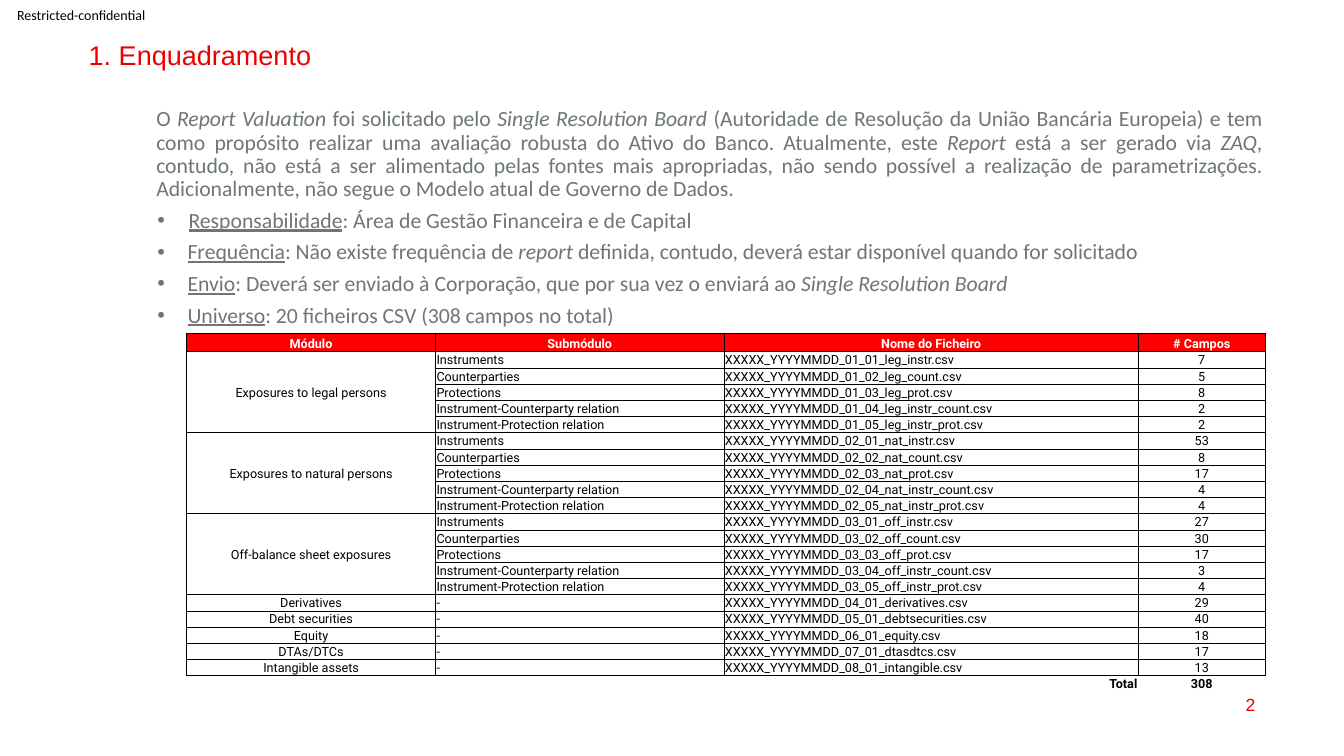
import pptx
import pptx.dml.color
import pptx.enum.text
import pptx.oxml.ns
import pptx.util
from lxml import etree

Inches, Pt = pptx.util.Inches, pptx.util.Pt
Align, Anchor = pptx.enum.text.PP_ALIGN, pptx.enum.text.MSO_ANCHOR
qn = pptx.oxml.ns.qn

RED, GREY, BLACK, WHITE, HEADER_RED = "EB0000", "6E7678", "000000", "FFFFFF", "FF0000"

CLASSIFICATION = "Restricted-confidential"
TITLE = "1. Enquadramento"
PAGE_NUMBER = "2"

# Runs are (text, style): "i" italic, "u" underlined, "" plain
INTRODUCTION = [
    ("O ", ""), ("Report Valuation ", "i"), ("foi solicitado pelo ", ""),
    ("Single Resolution Board ", "i"),
    ("(Autoridade de Resolução da União Bancária Europeia) e tem como propósito realizar "
     "uma avaliação robusta do Ativo do Banco. Atualmente, este ", ""),
    ("Report", "i"), (" está a ser gerado via ", ""), ("ZAQ", "i"),
    (", contudo, não está a ser alimentado pelas fontes mais apropriadas, não sendo possível "
     "a realização de parametrizações. Adicionalmente, não segue o Modelo atual de Governo "
     "de Dados.", ""),
]
BULLETS = [
    [("Responsabilidade", "u"), (": Área de Gestão Financeira e de Capital", "")],
    [("Frequência", "u"), (": Não existe frequência de ", ""), ("report", "i"),
     (" definida, contudo, deverá estar disponível quando for solicitado", "")],
    [("Envio", "u"), (": Deverá ser enviado à Corporação, que por sua vez o enviará ao ", ""),
     ("Single Resolution Board", "i")],
    [("Universo", "u"), (": 20 ficheiros CSV (308 campos no total)", "")],
]

HEADERS = ["Módulo", "Submódulo", "Nome do Ficheiro", "# Campos"]
SUBMODULES = [
    ("Instruments", "instr"),
    ("Counterparties", "count"),
    ("Protections", "prot"),
    ("Instrument-Counterparty relation", "instr_count"),
    ("Instrument-Protection relation", "instr_prot"),
]
# Module, file code, fields per file
MODULES = [
    ("Exposures to legal persons", "leg", [7, 5, 8, 2, 2]),
    ("Exposures to natural persons", "nat", [53, 8, 17, 4, 4]),
    ("Off-balance sheet exposures", "off", [27, 30, 17, 3, 4]),
    ("Derivatives", "derivatives", [29]),
    ("Debt securities", "debtsecurities", [40]),
    ("Equity", "equity", [18]),
    ("DTAs/DTCs", "dtasdtcs", [17]),
    ("Intangible assets", "intangible", [13]),
]
COLUMN_WIDTHS = [2.47, 2.86, 4.11, 1.26]
COLUMN_ALIGNMENTS = [Align.CENTER, Align.LEFT, Align.LEFT, Align.CENTER]
HEADER_HEIGHT, ROW_HEIGHT = 0.18, 0.16


def rgb(color):
    return pptx.dml.color.RGBColor.from_string(color)


def format_font(font, size, name, color, bold=False):
    font.size, font.name, font.bold = Pt(size), name, bold
    font.color.rgb = rgb(color)


def place(shape, left, top, width, height):
    shape.left, shape.top = Inches(left), Inches(top)
    shape.width, shape.height = Inches(width), Inches(height)


def set_bullet(paragraph, left, hanging, symbol=None):
    properties = paragraph._p.get_or_add_pPr()
    properties.set("marL", str(Inches(left)))
    properties.set("indent", str(Inches(-hanging)))
    if symbol:
        etree.SubElement(properties, qn("a:buFont"), typeface="Arial")
        etree.SubElement(properties, qn("a:buChar"), char=symbol)
    else:
        etree.SubElement(properties, qn("a:buNone"))


def set_borders(cell, visible_sides):
    properties = cell._tc.get_or_add_tcPr()
    for position, side in enumerate("LRTB"):
        line = etree.Element(qn(f"a:ln{side}"), w=str(Pt(0.5)))
        if side in visible_sides:
            fill = etree.SubElement(line, qn("a:solidFill"))
            etree.SubElement(fill, qn("a:srgbClr"), val=BLACK)
        else:
            etree.SubElement(line, qn("a:noFill"))
        properties.insert(position, line)


def fill_cell(cell, text, alignment, color=BLACK, bold=False, background=None, borders="LRTB"):
    cell.margin_left = cell.margin_right = cell.margin_top = Inches(0.01)
    cell.margin_bottom = 0
    cell.vertical_anchor = Anchor.MIDDLE if cell.is_merge_origin else Anchor.BOTTOM
    if background:
        cell.fill.solid()
        cell.fill.fore_color.rgb = rgb(background)
    else:
        cell.fill.background()
    set_borders(cell, borders)
    cell.text_frame.text = text
    paragraph = cell.text_frame.paragraphs[0]
    paragraph.alignment = alignment
    for run in paragraph.runs:
        format_font(run.font, 9, "Roboto", color, bold)
    if not text:
        etree.SubElement(paragraph._p, qn("a:endParaRPr"), sz="900")


def add_label(slide, box, text, size, font, color, alignment, wrap):
    label = slide.shapes.add_textbox(*map(Inches, box))
    frame = label.text_frame
    frame.text, frame.word_wrap, frame.vertical_anchor = text, wrap, Anchor.MIDDLE
    paragraph = frame.paragraphs[0]
    paragraph.alignment = alignment
    format_font(paragraph.runs[0].font, size, font, color)
    return frame


def fill_title(title):
    place(title, 0.78, 0.37, 11.76, 0.33)
    frame = title.text_frame
    frame.text, frame.vertical_anchor = TITLE, Anchor.TOP
    frame.auto_size = pptx.enum.text.MSO_AUTO_SIZE.NONE
    paragraph = frame.paragraphs[0]
    paragraph.alignment, paragraph.line_spacing = Align.LEFT, 0.9
    format_font(paragraph.runs[0].font, 19.3, "Arial", RED)


def fill_body(body):
    place(body, 0.97, 1.02, 11.65, 6.34)
    frame = body.text_frame
    frame.auto_size = pptx.enum.text.MSO_AUTO_SIZE.NONE
    for index, runs in enumerate([INTRODUCTION] + BULLETS):
        paragraph = frame.add_paragraph() if index else frame.paragraphs[0]
        paragraph.alignment, paragraph.line_spacing = Align.JUSTIFY, 0.9
        paragraph.space_before, paragraph.space_after = Pt(0), Pt(5.8)
        if index:
            set_bullet(paragraph, 0.8 if index == 1 else 0.79, 0.31 if index == 1 else 0.3, "•")
        else:
            set_bullet(paragraph, 0.48, 0)
        for text, style in runs:
            run = paragraph.add_run()
            run.text = text
            format_font(run.font, 15.5, "Calibri", GREY)
            run.font.italic, run.font.underline = style == "i", style == "u"


def add_files_table(slide):
    file_count = sum(len(counts) for _, _, counts in MODULES)
    height = HEADER_HEIGHT + ROW_HEIGHT * (file_count + 1)
    frame = slide.shapes.add_table(file_count + 2, len(HEADERS), Inches(1.85), Inches(3.31),
                                   Inches(sum(COLUMN_WIDTHS)), Inches(height))
    table = frame.table
    table.first_row = table.horz_banding = False
    for column, width in zip(table.columns, COLUMN_WIDTHS):
        column.width = Inches(width)
    for index, row in enumerate(table.rows):
        row.height = Inches(ROW_HEIGHT if index else HEADER_HEIGHT)

    for column, header in enumerate(HEADERS):
        fill_cell(table.cell(0, column), header, Align.CENTER, WHITE, True, HEADER_RED)

    row = 1
    for number, (module, code, counts) in enumerate(MODULES, 1):
        if len(counts) > 1:
            table.cell(row, 0).merge(table.cell(row + len(counts) - 1, 0))
        for index, count in enumerate(counts):
            submodule, suffix = SUBMODULES[index] if len(counts) > 1 else ("-", "")
            stem = f"{code}_{suffix}" if suffix else code
            file_name = f"XXXXX_YYYYMMDD_{number:02}_{index + 1:02}_{stem}.csv"
            values = ["" if index else module, submodule, file_name, str(count)]
            for column, value in enumerate(values):
                fill_cell(table.cell(row, column), value, COLUMN_ALIGNMENTS[column])
            row += 1

    total = sum(sum(counts) for _, _, counts in MODULES)
    for column, value in enumerate(["", "", "Total", str(total)]):
        alignment = Align.RIGHT if column == 2 else Align.CENTER
        fill_cell(table.cell(row, column), value, alignment, bold=True, borders="T")


def main():
    presentation = pptx.Presentation()
    presentation.slide_width, presentation.slide_height = Inches(13.33), Inches(7.5)
    slide = presentation.slides.add_slide(presentation.slide_layouts[1])
    fill_title(slide.shapes.title)
    fill_body(slide.placeholders[1])
    marking = add_label(slide, (0, 0, 1.61, 0.29), CLASSIFICATION, 10, "Calibri", BLACK,
                        Align.CENTER, False)
    marking.margin_left = marking.margin_right = marking.margin_top = marking.margin_bottom = 0
    add_label(slide, (9.55, 6.79, 3, 0.4), PAGE_NUMBER, 12.6, "Arial", RED, Align.RIGHT, True)
    add_files_table(slide)
    presentation.save("out.pptx")


if __name__ == "__main__":
    main()
